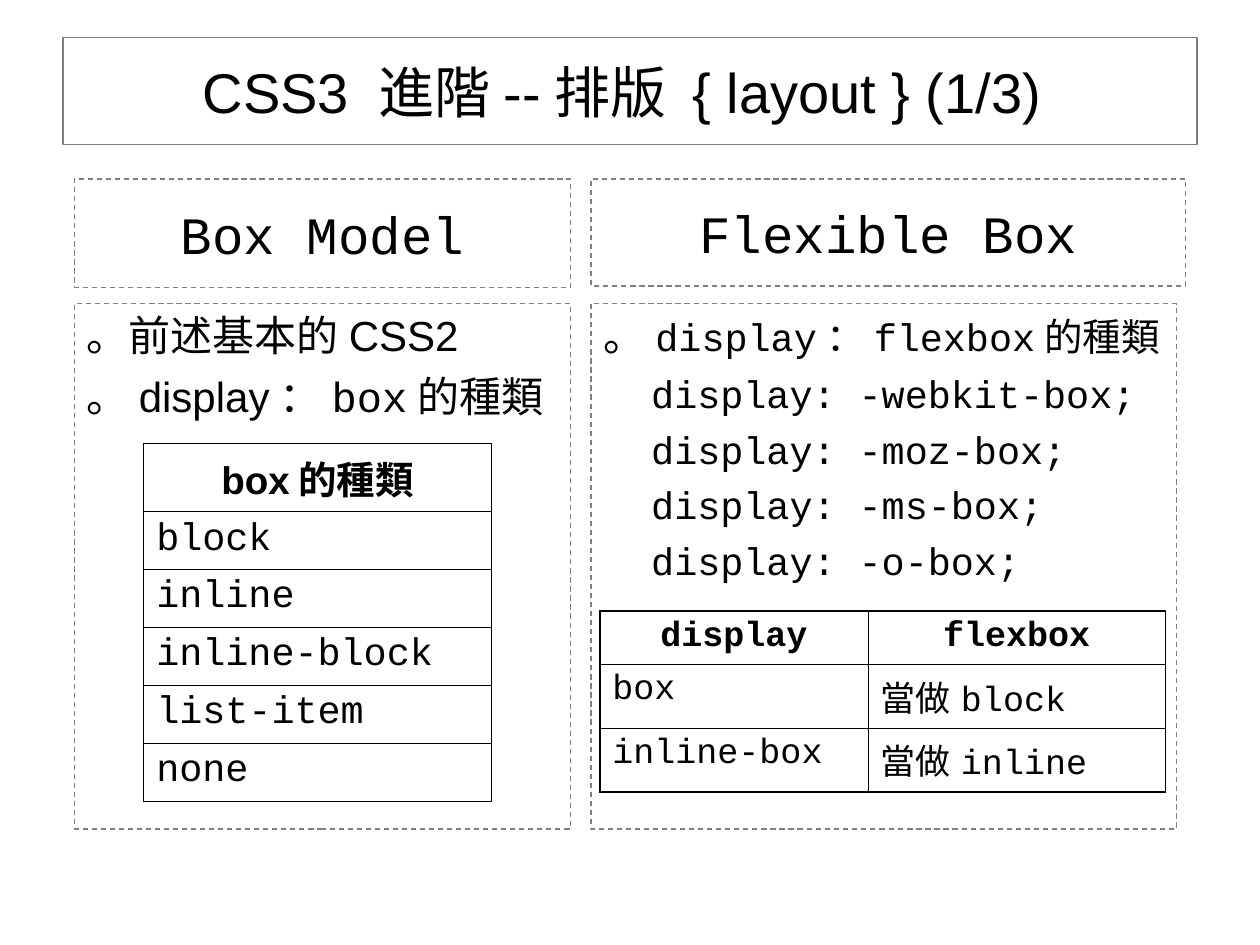
from lxml.etree import SubElement
from pptx import Presentation
from pptx.dml.color import RGBColor
from pptx.enum.dml import MSO_LINE_DASH_STYLE as Dash
from pptx.enum.shapes import MSO_SHAPE as Shape
from pptx.enum.text import MSO_ANCHOR as Anchor, MSO_AUTO_SIZE as AutoSize, PP_ALIGN as Align
from pptx.oxml.ns import qn
from pptx.util import Inches, Pt

COLORS = {"text": "000000", "frame": "7F7F7F", "grid": "000000"}
SANS, MONO = "Arial", "Courier New"
HANG = 0.38
OUTER, INNER = 1.08, 0.45

TITLE = "CSS3 進階--排版 { layout } (1/3) "
COLUMNS = [
    {
        "heading": "Box Model",
        "heading_box": (0.59, 1.42, 3.94, 0.86),
        "body_box": (0.59, 2.41, 3.94, 4.17),
        "space": 6,
        "lines": [
            [("。前述基本的CSS2", SANS, 24)],
            [("。display：", SANS, 24), ("box", MONO, 24), ("的種類", SANS, 24)],
        ],
        "code": [],
        "table_box": (1.14, 3.52),
        "widths": [2.76],
        "heights": [0.54] + [0.46] * 5,
        "rows": [["box的種類"], ["block"], ["inline"], ["inline-block"], ["list-item"], ["none"]],
        "head_font": SANS,
        "cell_size": 22,
    },
    {
        "heading": "Flexible Box",
        "heading_box": (4.69, 1.42, 4.72, 0.85),
        "body_box": (4.69, 2.41, 4.65, 4.17),
        "space": 5.5,
        "lines": [[("。", SANS, 24), ("display：flexbox的種類", MONO, 22)]],
        "code": [f"display: -{prefix}-box;" for prefix in ("webkit", "moz", "ms", "o")],
        "table_box": (4.76, 4.85),
        "widths": [2.13, 2.36],
        "heights": [0.42, 0.5, 0.5],
        "rows": [["display", "flexbox"], ["box", "當做block"], ["inline-box", "當做inline"]],
        "head_font": MONO,
        "cell_size": 20,
    },
]


def rgb(name):
    return RGBColor.from_string(COLORS[name])


def add_text(paragraph, text, font=SANS, size=24, bold=False, align=Align.LEFT):
    paragraph.alignment = align
    run = paragraph.add_run()
    run.text = text
    run.font.name = font
    run.font.size = Pt(size)
    run.font.bold = bold
    run.font.color.rgb = rgb("text")


def outline(box, dash=None):
    box.fill.background()
    box.line.color.rgb = rgb("frame")
    box.line.width = Pt(0.75)
    if dash:
        box.line.dash_style = dash


def add_frame(slide, bounds, anchor):
    frame = slide.shapes.add_shape(Shape.RECTANGLE, *map(Inches, bounds))
    frame.shadow.inherit = False
    outline(frame, Dash.DASH)
    frame.text_frame.word_wrap = True
    frame.text_frame.vertical_anchor = anchor
    return frame.text_frame


def indent(paragraph, first):
    properties = paragraph._p.get_or_add_pPr()
    properties.set("marL", str(Inches(HANG)))
    properties.set("indent", str(Inches(first)))


def add_body(slide, column):
    body = add_frame(slide, column["body_box"], Anchor.TOP)
    entries = [(line, -HANG) for line in column["lines"]]
    entries += [([(code, MONO, 22)], 0) for code in column["code"]]
    for i, (pieces, first) in enumerate(entries):
        paragraph = body.add_paragraph() if i else body.paragraphs[0]
        indent(paragraph, first)
        if i:
            paragraph.space_before = Pt(column["space"])
        for text, font, size in pieces:
            add_text(paragraph, text, font=font, size=size)


def set_borders(cell, widths):
    properties = cell._tc.get_or_add_tcPr()
    for side, width in widths.items():
        line = SubElement(properties, qn(f"a:ln{side}"), w=str(Pt(width)))
        fill = SubElement(line, qn("a:solidFill"))
        SubElement(fill, qn("a:srgbClr"), val=COLORS["grid"])


def add_grid(slide, column):
    rows, widths, heights = column["rows"], column["widths"], column["heights"]
    bounds = (*column["table_box"], sum(widths), sum(heights))
    table = slide.shapes.add_table(len(rows), len(widths), *map(Inches, bounds)).table
    table.first_row = table.horz_banding = False
    for table_column, width in zip(table.columns, widths):
        table_column.width = Inches(width)
    last_row, last_col = len(rows) - 1, len(widths) - 1
    for r, row in enumerate(rows):
        table.rows[r].height = Inches(heights[r])
        head = r == 0
        for c, text in enumerate(row):
            cell = table.cell(r, c)
            edges = {"L": c == 0, "R": c == last_col, "T": head, "B": r == last_row}
            set_borders(cell, {side: OUTER if edge else INNER for side, edge in edges.items()})
            cell.fill.background()
            add_text(
                cell.text_frame.paragraphs[0], text,
                font=column["head_font"] if head else MONO,
                size=column["cell_size"], bold=head,
                align=Align.CENTER if head else Align.LEFT,
            )


def main():
    deck = Presentation()
    deck.slide_width, deck.slide_height = Inches(10), Inches(7.5)
    slide = deck.slides.add_slide(deck.slide_layouts[5])
    title = slide.shapes.title
    title.left, title.top, title.width, title.height = map(Inches, (0.5, 0.3, 9, 0.85))
    outline(title)
    title.text_frame.auto_size = AutoSize.NONE
    title.text_frame.vertical_anchor = Anchor.MIDDLE
    add_text(title.text_frame.paragraphs[0], TITLE, size=32, align=Align.CENTER)
    for column in COLUMNS:
        heading = add_frame(slide, column["heading_box"], Anchor.MIDDLE)
        add_text(heading.paragraphs[0], column["heading"], font=MONO, size=30, align=Align.CENTER)
        add_body(slide, column)
        add_grid(slide, column)
    deck.save("out.pptx")


if __name__ == "__main__":
    main()
